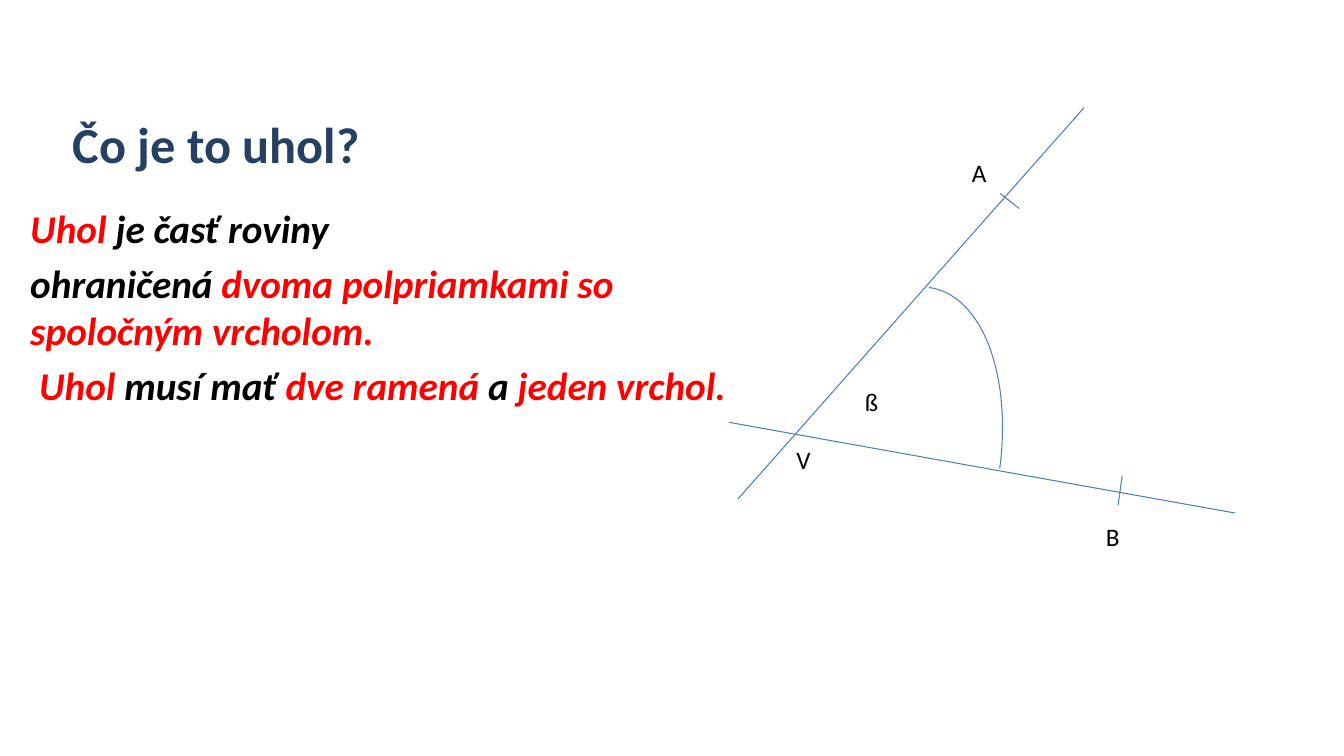
from lxml import etree
from pptx import Presentation
from pptx.dml.color import RGBColor
from pptx.enum.shapes import MSO_CONNECTOR, MSO_SHAPE
from pptx.enum.text import MSO_ANCHOR, MSO_AUTO_SIZE, PP_ALIGN
from pptx.oxml.ns import qn
from pptx.util import Inches, Pt

COLORS = {"title": "254061", "key": "FF0000", "text": "000000", "line": "4B7EBC"}
FONT = "Calibri"

# Each paragraph is a list of (text, colour name)
DEFINITION = [
    [("Uhol ", "key"), ("je časť roviny", "text")],
    [("ohraničená ", "text"), ("dvoma polpriamkami so spoločným vrcholom.", "key")],
    [(" ", "text"), ("Uhol ", "key"), ("musí mať ", "text"), ("dve ramená ", "key"),
     ("a", "text"), (" jeden vrchol.", "key")],
]

# Arms of the angle, then the marks at A and B: x1, y1, x2, y2
SEGMENTS = [
    (7.32, 4.95, 10.75, 1.07),
    (7.23, 4.19, 12.25, 5.09),
    (9.92, 1.92, 10.11, 2.07),
    (11.13, 4.72, 11.09, 5.01),
]
POINT_LABELS = [("A", 9.54, 1.51), ("B", 10.87, 5.12), ("V", 7.8, 4.36), ("ß", 8.48, 3.78)]


def color(name):
    return RGBColor.from_string(COLORS[name])


def place(shape, left, top, width, height):
    shape.left, shape.top = Inches(left), Inches(top)
    shape.width, shape.height = Inches(width), Inches(height)


def set_font(font, size, color_name=None, bold=False, italic=False):
    font.name, font.size, font.bold, font.italic = FONT, Pt(size), bold, italic
    if color_name:
        font.color.rgb = color(color_name)


def style_line(line):
    line.color.rgb = color("line")
    line.width = Pt(0.75)


def fill_title(title):
    place(title, 0.62, 0.37, 4.22, 1.4)
    frame = title.text_frame
    frame.text = "Čo je to uhol?"
    frame.vertical_anchor = MSO_ANCHOR.BOTTOM
    frame.auto_size = MSO_AUTO_SIZE.NONE
    heading = frame.paragraphs[0]
    heading.alignment = PP_ALIGN.LEFT
    set_font(heading.font, 36, "title", bold=True)


def fill_definition(body):
    place(body, 0.2, 1.98, 7.11, 3.84)
    frame = body.text_frame
    frame.auto_size = MSO_AUTO_SIZE.NONE
    for index, parts in enumerate(DEFINITION):
        paragraph = frame.add_paragraph() if index else frame.paragraphs[0]
        properties = paragraph._p.get_or_add_pPr()
        properties.set("marL", "0")
        properties.set("indent", "0")
        etree.SubElement(properties, qn("a:buNone"))
        if index == 0:
            paragraph.space_before = Pt(0)
        set_font(paragraph.font, 28, bold=True, italic=True)
        for text, color_name in parts:
            run = paragraph.add_run()
            run.text = text
            run.font.color.rgb = color(color_name)


def add_angle_arc(shapes):
    arc = shapes.add_shape(MSO_SHAPE.ARC, Inches(7.95), Inches(2.83), Inches(1.96), Inches(3.57))
    arc.rotation = 10
    # Adjustment units: 0.6 per degree
    arc.adjustments[0] = 269.15 * 0.6
    arc.adjustments[1] = 351.97 * 0.6
    arc.fill.background()
    arc.shadow.inherit = False
    style_line(arc.line)


def add_segment(shapes, *ends):
    segment = shapes.add_connector(MSO_CONNECTOR.STRAIGHT, *map(Inches, ends))
    style_line(segment.line)
    etree.SubElement(segment._element.spPr, qn("a:effectLst"))


def add_point_label(shapes, letter, left, top):
    label = shapes.add_textbox(Inches(left), Inches(top), Inches(0.4), Inches(0.4))
    frame = label.text_frame
    frame.text = letter
    frame.word_wrap = True
    frame.auto_size = MSO_AUTO_SIZE.SHAPE_TO_FIT_TEXT
    set_font(frame.paragraphs[0].font, 18, "text")


def main():
    deck = Presentation()
    deck.slide_width, deck.slide_height = Inches(13.33), Inches(7.5)
    slide = deck.slides.add_slide(deck.slide_layouts[1])

    # Title and definition
    fill_title(slide.shapes.title)
    fill_definition(slide.placeholders[1])

    # Angle AVB
    add_angle_arc(slide.shapes)
    angle = slide.shapes.add_group_shape()
    for ends in SEGMENTS:
        add_segment(angle.shapes, *ends)
    for label in POINT_LABELS:
        add_point_label(angle.shapes, *label)

    deck.save("out.pptx")


if __name__ == "__main__":
    main()
